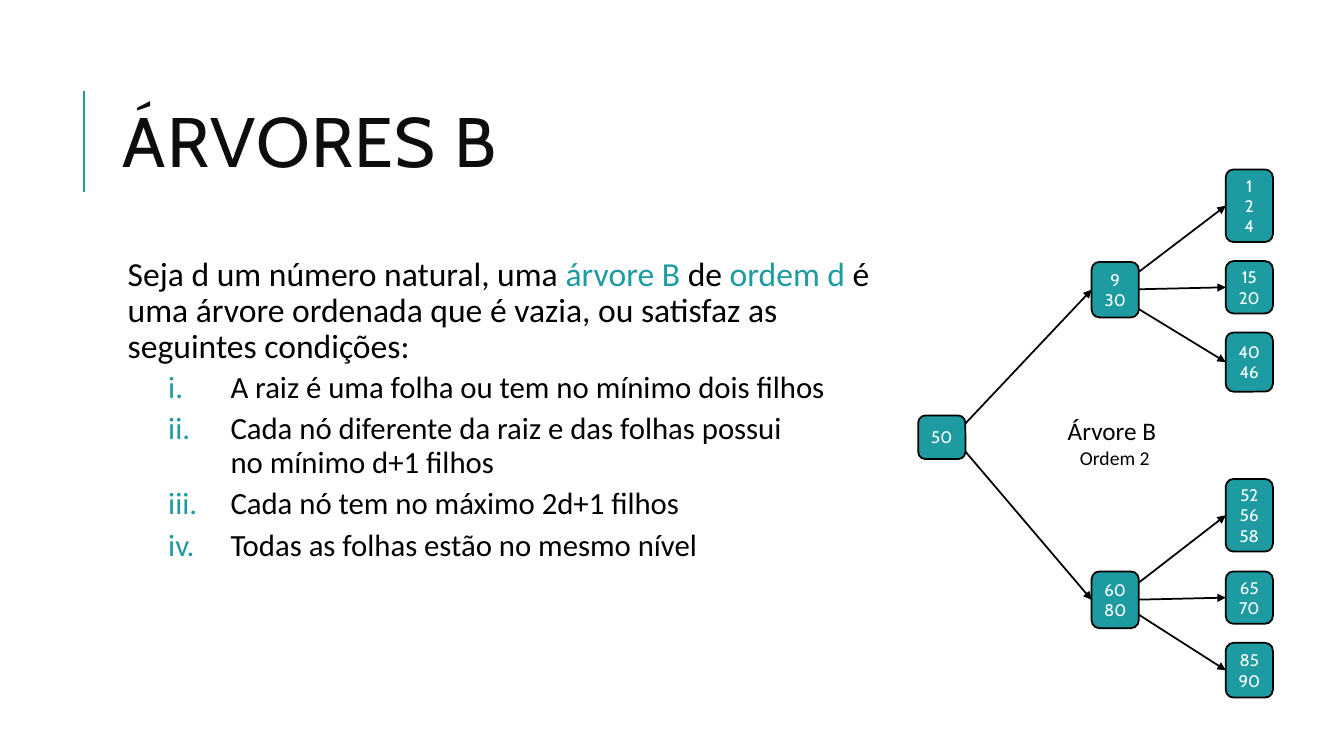
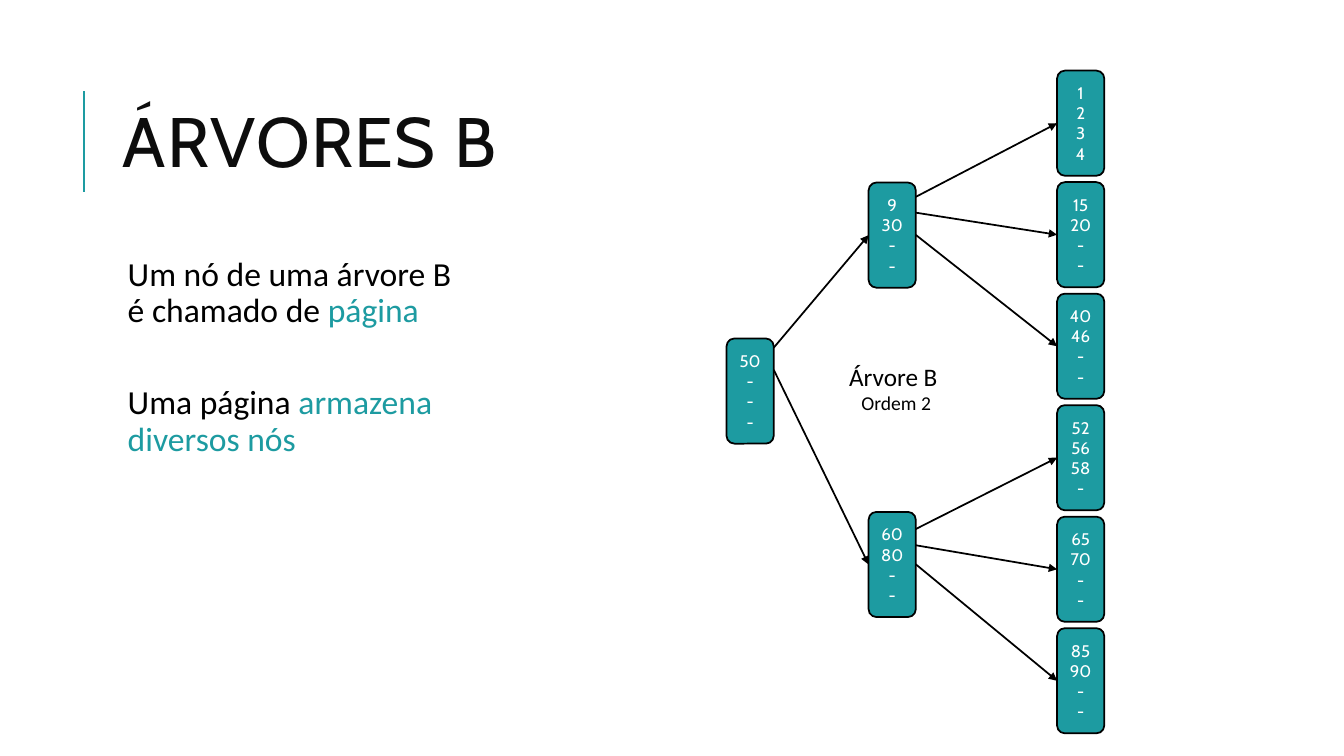
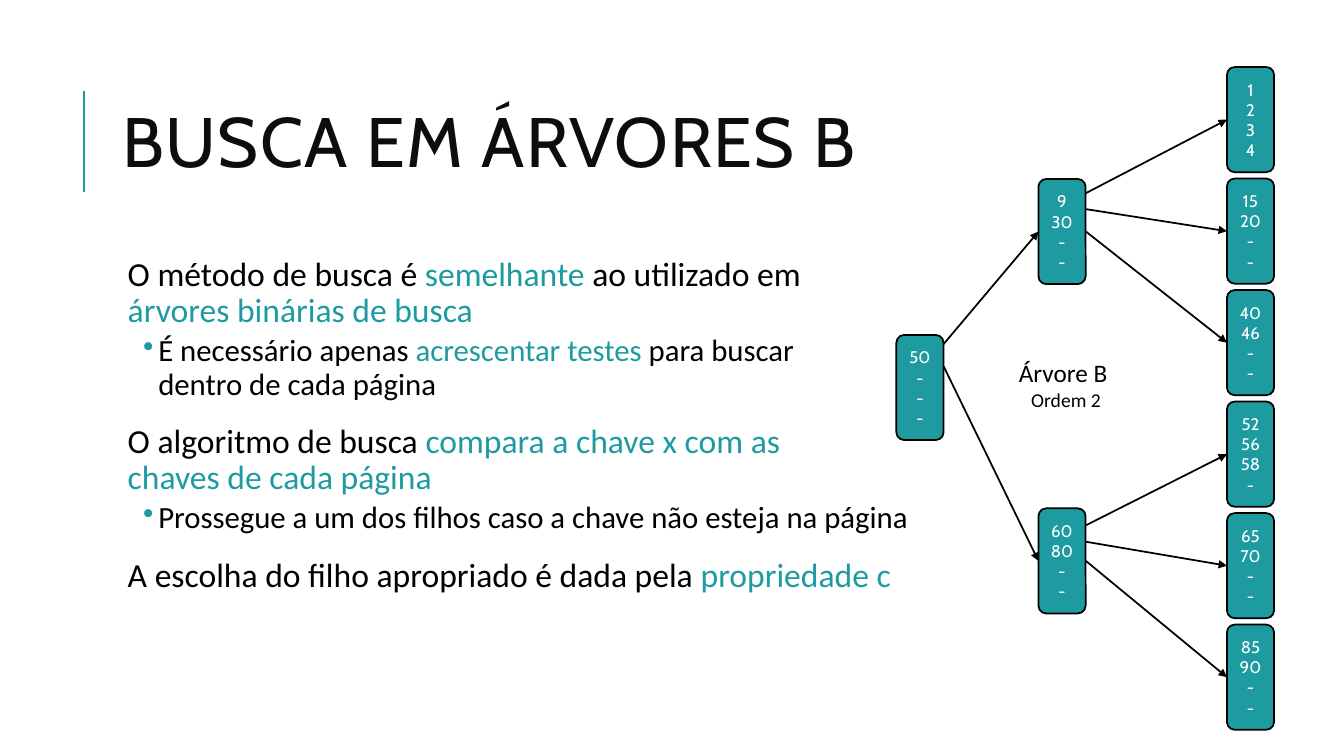
from collections import namedtuple

from pptx import Presentation
from pptx.dml.color import RGBColor
from pptx.enum.shapes import MSO_CONNECTOR as Connector, MSO_SHAPE as Shape
from pptx.enum.text import MSO_ANCHOR as Anchor, MSO_AUTO_SIZE as AutoSize, PP_ALIGN as Align
from pptx.oxml.ns import qn
from pptx.util import Cm, Pt
from lxml.etree import SubElement

COLORS = {"accent": "1D9BA1", "title": "0D0D0D", "text": "000000", "white": "FFFFFF"}
TITLE_FONT, BODY_FONT = "Cabin", "Calibri"

# Lengths are in centimetres. A node's exits are the arrow starts below its top.
Node = namedtuple("Node", "top height keys exits children", defaults=((), ()))
Tree = namedtuple("Tree", "columns root caption")
NODE_W = 1.19
CAPTION_W, CAPTION_H = 2.95, 1.63

ORDER_TREE = Tree(
    (23.14, 27.51, 30.89),
    Node(10.47, 1.1, "50", (0.2, 0.91), (
        Node(6.6, 1.4, "9 30", (0.25, 0.69, 1.19), (
            Node(4.27, 1.83, "1 2 4"),
            Node(6.58, 1.32, "15 20"),
            Node(8.38, 1.49, "40 46"))),
        Node(14.4, 1.43, "60 80", (0.28, 0.71, 1.09), (
            Node(12.07, 1.83, "52 56 58"),
            Node(14.4, 1.32, "65 70"),
            Node(16.2, 1.38, "85 90"))))),
    (26.62, 10.34))

PAGE_H, PAGE_STEP, FIRST_PAGE = 2.65, 2.81, 1.78
LEAF_KEYS = ("1 2 3 4", "15 20 - -", "40 46 - -", "52 56 58 -", "65 70 - -", "85 90 - -")
LEAVES = [Node(FIRST_PAGE + i * PAGE_STEP, PAGE_H, keys) for i, keys in enumerate(LEAF_KEYS)]
PAGE_TREE = Tree(
    (18.31, 21.89, 26.64),
    Node(8.53, PAGE_H, "50 - - -", (0.23, 0.79), (
        Node(4.6, PAGE_H, "9 30 - -", (0.36, 0.76, 1.32), LEAVES[:3]),
        Node(12.9, PAGE_H, "60 80 - -", (0.43, 0.84, 1.32), LEAVES[3:]))),
    (21.11, 8.97))

STYLES = {
    "main": dict(size=24, left=0.25, hang=0, before=12, after=2, bullet=None),
    "spaced": dict(size=24, left=0.25, hang=0, before=38, after=2, bullet=None),
    "roman": dict(size=22, left=2.84, hang=1.57, before=2, after=4,
                  bullet=("a:buAutoNum", "type", "romanLcPeriod")),
    "dot": dict(size=22, left=1.02, hang=0.38, before=2, after=4,
                bullet=("a:buChar", "char", "•")),
}

# Asterisks enclose words in the accent colour. The last item is the tree's shift.
SLIDES = [
    ("ÁRVORES B", [
        ("main", "Seja d um número natural, uma *árvore B *de* ordem d* é \n"
                 "uma árvore ordenada que é vazia, ou satisfaz as \nseguintes condições:"),
        ("roman", "A raiz é uma folha ou tem no mínimo dois filhos"),
        ("roman", "Cada nó diferente da raiz e das folhas possui \nno mínimo d+1 filhos"),
        ("roman", "Cada nó tem no máximo 2d+1 filhos"),
        ("roman", "Todas as folhas estão no mesmo nível"),
    ], ORDER_TREE, (0, 0)),
    ("ÁRVORES B", [
        ("main", "Um nó de uma árvore B\né chamado de *página*"),
        ("spaced", "Uma página *armazena \ndiversos nós*"),
    ], PAGE_TREE, (0, 0)),
    ("BUSCA EM ÁRVORES B", [
        ("main", "O método de busca é *semelhante* ao utilizado em \n*árvores binárias de busca*"),
        ("dot", "É necessário apenas *acrescentar testes *para buscar \ndentro de cada página"),
        ("main", "O algoritmo de busca *compara a chave x com as \nchaves de cada página*"),
        ("dot", "Prossegue a um dos filhos caso a chave não esteja na página"),
        ("main", "A escolha do filho apropriado é dada pela *propriedade c*"),
    ], PAGE_TREE, (4.28, -0.09)),
]


def rgb(name):
    """Return a named colour."""
    return RGBColor.from_string(COLORS[name])


def box(*lengths):
    """Turn centimetres into slide lengths."""
    return [Cm(length) for length in lengths]


def add_text(p, text, size=24, font=BODY_FONT, color="text", spacing=None):
    """Append text to a paragraph, with accent words and line breaks."""
    for i, part in enumerate(text.split("*")):
        for j, line in enumerate(part.split("\n")):
            if j:
                p.add_line_break()
            if not line:
                continue
            r = p.add_run()
            r.text = line
            r.font.size, r.font.name = Pt(size), font
            r.font.color.rgb = rgb("accent" if i % 2 else color)
            if spacing:
                r.font._element.set("spc", str(spacing * 100))


def paragraphs(tf, items):
    """Yield one paragraph of the frame for each item."""
    for i, item in enumerate(items):
        yield (tf.add_paragraph() if i else tf.paragraphs[0]), item


def add_line(s, x1, y1, x2, y2, color="text", width=1.25, arrow=True):
    """Draw a straight line, with an arrowhead at its end if wanted."""
    line = s.shapes.add_connector(Connector.STRAIGHT, *box(x1, y1, x2, y2))
    line.line.color.rgb, line.line.width = rgb(color), Pt(width)
    if arrow:
        SubElement(line.line._get_or_add_ln(), qn("a:tailEnd"), type="triangle")
    SubElement(line._element.spPr, qn("a:effectLst"))


def add_title(s, text):
    """Format the title and draw the rule beside it."""
    add_line(s, 2.11, 4.83, 2.11, 2.29, color="accent", width=1.5, arrow=False)
    sp = s.shapes.title
    sp.left, sp.top, sp.width, sp.height = box(2.84, 1.63, 27, 4.17)
    tf = sp.text_frame
    tf.auto_size, tf.vertical_anchor = AutoSize.NONE, Anchor.MIDDLE
    p = tf.paragraphs[0]
    p.alignment, p.line_spacing = Align.LEFT, 0.8
    add_text(p, text, size=50, font=TITLE_FONT, color="title", spacing=1)


def add_body(s, items):
    """Write the body paragraphs in their styles."""
    tf = s.shapes.add_textbox(*box(2.84, 6.35, 27, 11.18)).text_frame
    tf.word_wrap = True
    tf.margin_left = tf.margin_right = tf.margin_top = tf.margin_bottom = Cm(0.13)
    for p, (name, text) in paragraphs(tf, items):
        style = STYLES[name]
        p.line_spacing = 0.9
        p.space_before, p.space_after = Pt(style["before"]), Pt(style["after"])
        pPr = p._p.get_or_add_pPr()
        pPr.set("marL", str(Cm(style["left"])))
        pPr.set("indent", str(-Cm(style["hang"])))
        if style["bullet"]:
            tag, key, value = style["bullet"]
            bullet_color = SubElement(pPr, qn("a:buClr"))
            SubElement(bullet_color, qn("a:srgbClr"), val=COLORS["accent"])
            SubElement(pPr, qn(tag)).set(key, value)
        add_text(p, text, size=style["size"])


def add_node(s, node, columns, dx, dy):
    """Draw a node, its subtrees and the arrows to them."""
    x, y = columns[0] + dx, node.top + dy
    sp = s.shapes.add_shape(Shape.ROUNDED_RECTANGLE, *box(x, y, NODE_W, node.height))
    sp.shadow.inherit = False
    sp.fill.solid()
    sp.fill.fore_color.rgb = rgb("accent")
    sp.line.color.rgb, sp.line.width = rgb("text"), Pt(1.25)
    sp.text_frame.vertical_anchor = Anchor.MIDDLE
    for p, key in paragraphs(sp.text_frame, node.keys.split()):
        p.alignment = Align.CENTER
        add_text(p, key, size=12, font=TITLE_FONT, color="white")
    for start, child in zip(node.exits, node.children):
        add_node(s, child, columns[1:], dx, dy)
        add_line(s, x + NODE_W, y + start, columns[1] + dx, child.top + child.height / 2 + dy)


def add_tree(s, tree, dx, dy):
    """Draw a whole tree and its caption."""
    add_node(s, tree.root, tree.columns, dx, dy)
    x, y = tree.caption
    tf = s.shapes.add_textbox(*box(x + dx, y + dy, CAPTION_W, CAPTION_H)).text_frame
    tf.word_wrap, tf.auto_size = False, AutoSize.SHAPE_TO_FIT_TEXT
    p = tf.paragraphs[0]
    p.alignment = Align.CENTER
    add_text(p, "Árvore B \n", size=18)
    add_text(p, "Ordem 2", size=14)


prs = Presentation()
prs.slide_width, prs.slide_height = box(33.87, 19.05)
title_only = prs.slide_layouts[5]
for title, body, tree, shift in SLIDES:
    s = prs.slides.add_slide(title_only)
    add_title(s, title)
    add_body(s, body)
    add_tree(s, tree, *shift)
prs.save("out.pptx")
